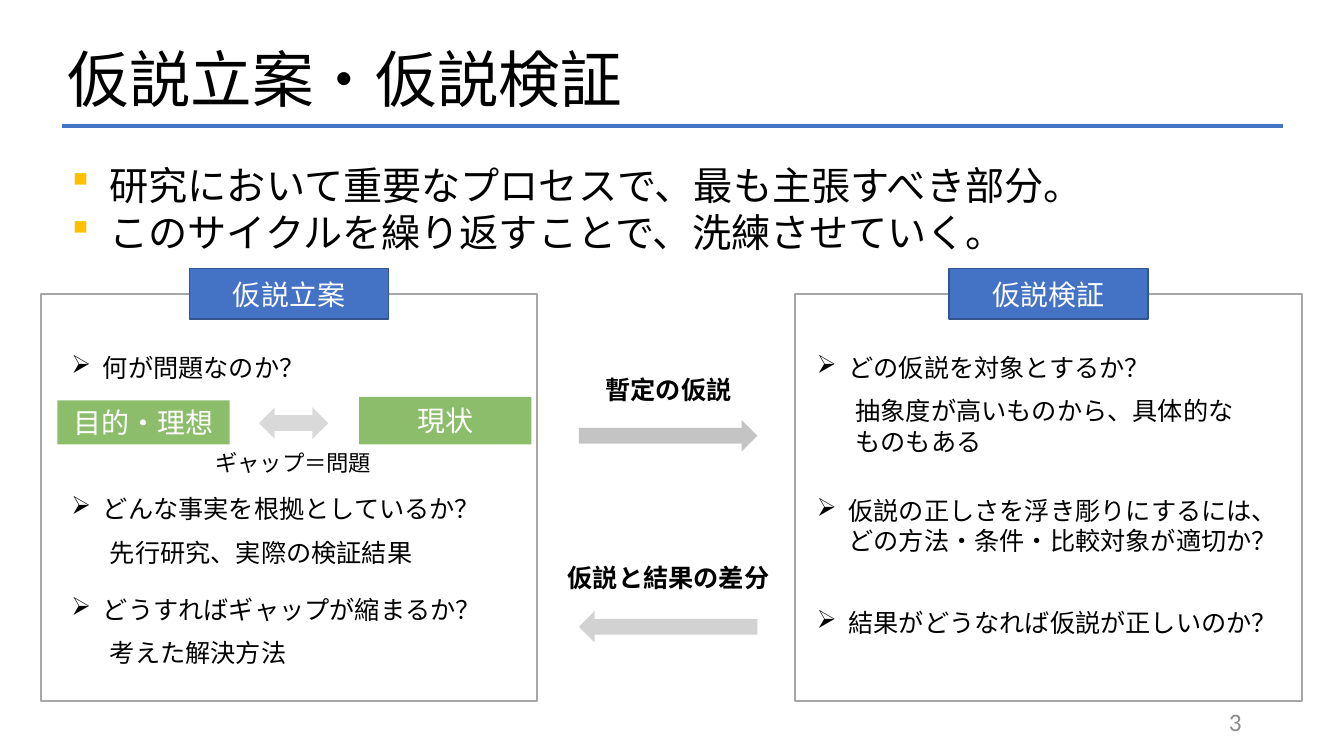
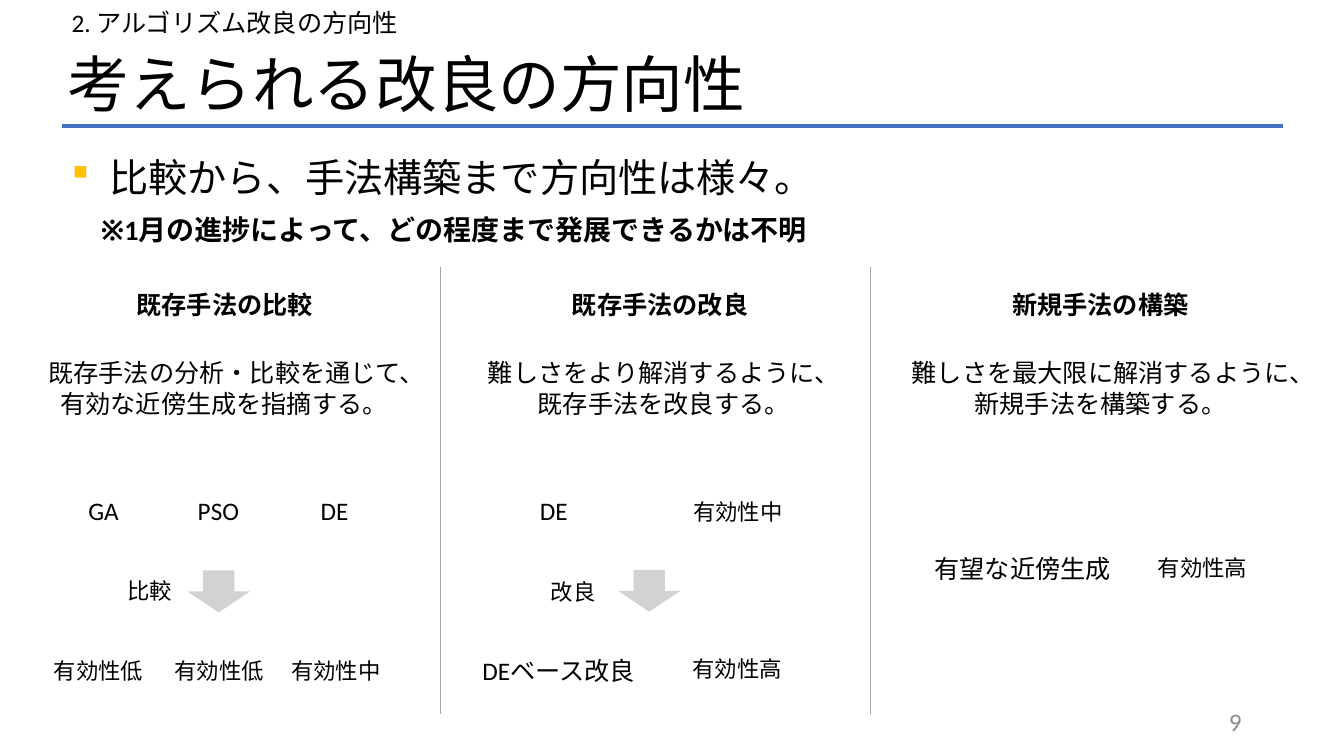
from lxml.etree import SubElement
from pptx import Presentation
from pptx.dml.color import RGBColor
from pptx.enum.shapes import MSO_CONNECTOR, MSO_SHAPE as Preset
from pptx.enum.text import MSO_ANCHOR as Anchor, MSO_AUTO_SIZE, PP_ALIGN as Align
from pptx.oxml.ns import qn
from pptx.util import Pt

COLORS = {
    "text": "000000", "white": "FFFFFF", "number": "8C8C8C",
    "blue": "4472C4", "blue_edge": "325491", "yellow": "FFC000",
    "green": "70AD47", "frame": "A6A6A6", "arrow": "BFBFBF", "pale": "D9D9D9",
}
FONT = "Calibri"
# Wingdings character, indent in points, colour
SQUARE = ("§", 27, "yellow")
ARROWHEAD = ("Ø", 22.5, "text")

# ---- Content: hypothesis slide ----
CYCLE = {
    "title": "仮説立案・仮説検証", "title_top": 7, "number": "3", "body_top": 111.5,
    "body": ["研究において重要なプロセスで、最も主張すべき部分。",
             "このサイクルを繰り返すことで、洗練させていく。"],
}
# Each question: top, question, answer
PANELS = [
    {"name": "仮説立案", "left": 29.5, "width": 354, "text_left": 44, "text_width": 333,
     "questions": [(248, "何が問題なのか？", None),
                   (349, "どんな事実を根拠としているか？", "先行研究、実際の検証結果"),
                   (421, "どうすればギャップが縮まるか？", "考えた解決方法")]},
    {"name": "仮説検証", "left": 568, "width": 362, "text_left": 576.5, "text_width": 354,
     "questions": [(248, "どの仮説を対象とするか？", "抽象度が高いものから、具体的なものもある"),
                   (350, "仮説の正しさを浮き彫りにするには、どの方法・条件・比較対象が適切か？", None),
                   (430.5, "結果がどうなれば仮説が正しいのか？", None)]},
]
# Label, label top, arrow preset, arrow top, opacity
FLOWS = [("暫定の仮説", 264, Preset.RIGHT_ARROW, 300, 91),
         ("仮説と結果の差分", 398, Preset.LEFT_ARROW, 436.5, 70)]
GAP_BOXES = [("目的・理想", (41, 286, 123, 31.5)), ("現状", (256.5, 283.5, 123, 34))]

# ---- Content: directions slide ----
DIRECTIONS = {
    "title": "考えられる改良の方向性", "title_top": 10, "number": "9", "body_top": 106,
    "body": ["比較から、手法構築まで方向性は様々。"],
}
SECTION = "2. アルゴリズム改良の方向性"
REMARK = "※1月の進捗によって、どの程度まで発展できるかは不明"
# Heading, heading centre, description, description centre, description width
COLUMNS = [
    ("既存手法の比較", 160.5, ["既存手法の分析・比較を通じて、", "有効な近傍生成を指摘する。"], 160, 273),
    ("既存手法の改良", 471.5, ["難しさをより解消するように、既存手法を改良する。"], 474, 273),
    ("新規手法の構築", 786, ["難しさを最大限に解消するように、新規手法を構築する。"], 786, 286.5),
]
DIVIDERS = [314.5, 622]
# Size: (text, centre, top)
LABELS = {
    18: [("GA", 74, 350), ("PSO", 156, 350), ("DE", 239, 350), ("DE", 395.5, 350),
         ("DEベース改良", 399, 464.5), ("有望な近傍生成", 730.5, 391.5)],
    16: [("有効性低", 70.5, 466), ("有効性低", 156.5, 466), ("有効性中", 240, 466),
         ("比較", 107, 409), ("改良", 409.5, 409.5), ("有効性中", 527, 352),
         ("有効性高", 526.5, 464.5), ("有効性高", 859, 392.5)],
}
DOWN_ARROWS = [(134, 407.5), (441.5, 407)]


# ---- Helpers ----
def rgb(name):
    return RGBColor.from_string(COLORS[name])


def place(shape, box):
    shape.left, shape.top, shape.width, shape.height = map(Pt, box)


def add_bullet(paragraph, bullet):
    character, indent, color = bullet
    properties = paragraph._p.get_or_add_pPr()
    properties.set("marL", str(Pt(indent)))
    properties.set("indent", str(-Pt(indent)))
    bullet_color = SubElement(properties, qn("a:buClr"))
    SubElement(bullet_color, qn("a:srgbClr"), val=COLORS[color])
    SubElement(properties, qn("a:buFont"), typeface="Wingdings")
    SubElement(properties, qn("a:buChar"), char=character)


def write(shape, lines, size=18, color="text", bold=False, align=Align.LEFT,
          anchor=Anchor.TOP, bullet=None, spacing=1.0):
    """Fill a shape with one formatted paragraph per line."""
    frame = shape.text_frame
    frame.word_wrap = True
    frame.auto_size = MSO_AUTO_SIZE.NONE
    frame.vertical_anchor = anchor
    for index, line in enumerate([lines] if isinstance(lines, str) else lines):
        paragraph = frame.add_paragraph() if index else frame.paragraphs[0]
        if bullet:
            add_bullet(paragraph, bullet)
        paragraph.alignment = align
        paragraph.line_spacing = spacing
        paragraph.space_before = Pt(0)
        run = paragraph.add_run()
        run.text = line
        run.font.name, run.font.size, run.font.bold = FONT, Pt(size), bold
        run.font.color.rgb = rgb(color)


def add_text(slide, box, lines, **text_format):
    write(slide.shapes.add_textbox(*map(Pt, box)), lines, **text_format)


def add_centered(slide, center, top, lines, width=180, height=29, **text_format):
    add_text(slide, (center - width / 2, top, width, height), lines,
             align=Align.CENTER, **text_format)


def add_shape(slide, preset, box, fill=None, line=None, line_width=1, opacity=100,
              text=None):
    shape = slide.shapes.add_shape(preset, *map(Pt, box))
    shape.shadow.inherit = False
    if fill:
        shape.fill.solid()
        shape.fill.fore_color.rgb = rgb(fill)
        if opacity < 100:
            color = shape._element.spPr.find(qn("a:solidFill"))[0]
            SubElement(color, qn("a:alpha"), val=str(opacity * 1000))
    else:
        shape.fill.background()
    if line:
        shape.line.color.rgb = rgb(line)
        shape.line.width = Pt(line_width)
    else:
        shape.line.fill.background()
    if text:
        write(shape, text, size=20, color="white", align=Align.CENTER, anchor=Anchor.MIDDLE)


def add_line(slide, start, end, color, width):
    line = slide.shapes.add_connector(MSO_CONNECTOR.STRAIGHT, *map(Pt, start + end))
    line.line.color.rgb = rgb(color)
    line.line.width = Pt(width)
    SubElement(line._element.spPr, qn("a:effectLst"))


def add_base_slide(presentation, content):
    """Title, rule, bulleted body and slide number shared by all slides."""
    slide = presentation.slides.add_slide(presentation.slide_layouts[1])
    title, body = slide.placeholders
    place(title, (41, content["title_top"], 828, 104.5))
    write(title, content["title"], size=44, anchor=Anchor.MIDDLE, spacing=0.9)
    place(body, (44, content["body_top"], 886, 7 + 34 * len(content["body"])))
    write(body, content["body"], size=28, bullet=SQUARE)
    add_line(slide, (44, 90), (916.5, 90), "blue", 2.25)
    add_text(slide, (678, 500.5, 216, 29), content["number"], color="number",
             align=Align.RIGHT, anchor=Anchor.MIDDLE)
    return slide


# ---- Slides ----
def build_cycle(presentation):
    slide = add_base_slide(presentation, CYCLE)
    panel_top, tag_width, tag_height = 210, 142, 36
    for panel in PANELS:
        left, width = panel["left"], panel["width"]
        add_shape(slide, Preset.RECTANGLE, (left, panel_top, width, 291),
                  line="frame", line_width=1.5)
        add_shape(slide, Preset.RECTANGLE,
                  (left + (width - tag_width) / 2, panel_top - tag_height / 2,
                   tag_width, tag_height),
                  fill="blue", line="blue_edge", text=panel["name"])
        text_left, text_width = panel["text_left"], panel["text_width"]
        for top, question, answer in panel["questions"]:
            add_text(slide, (text_left, top, text_width, 29), question, bullet=ARROWHEAD)
            if answer:
                add_text(slide, (text_left + 27.5, top + 31, 299.5, 29), answer)

    # Gap between ideal and present state
    for text, box in GAP_BOXES:
        add_shape(slide, Preset.RECTANGLE, box, fill="green", opacity=80, text=text)
    add_shape(slide, Preset.LEFT_RIGHT_ARROW, (185, 291, 49.5, 22.5), fill="pale")
    add_centered(slide, 209.5, 317, "ギャップ＝問題", size=16)

    # Arrows between the panels
    for label, label_top, preset, arrow_top, opacity in FLOWS:
        add_centered(slide, 477.5, label_top, label, bold=True)
        add_shape(slide, preset, (413.5, arrow_top, 127.5, 22.5), fill="arrow",
                  opacity=opacity)


def build_directions(presentation):
    slide = add_base_slide(presentation, DIRECTIONS)
    add_text(slide, (44, 2, 373, 29), SECTION)
    add_centered(slide, 324, 148.5, REMARK, width=546, height=32, size=20, bold=True)
    for x in DIVIDERS:
        add_line(slide, (x, 191), (x, 510), "frame", 1)
    for heading, heading_center, description, center, width in COLUMNS:
        add_centered(slide, heading_center, 203, heading, bold=True)
        add_centered(slide, center, 252, description, width=width, height=51)
    for size, labels in LABELS.items():
        for text, center, top in labels:
            add_centered(slide, center, top, text, width=150, size=size)
    for left, top in DOWN_ARROWS:
        add_shape(slide, Preset.DOWN_ARROW, (left, top, 44.5, 30), fill="arrow", opacity=70)


def main():
    presentation = Presentation()
    presentation.slide_width, presentation.slide_height = Pt(960), Pt(540)
    build_cycle(presentation)
    build_directions(presentation)
    presentation.save("out.pptx")


if __name__ == "__main__":
    main()
